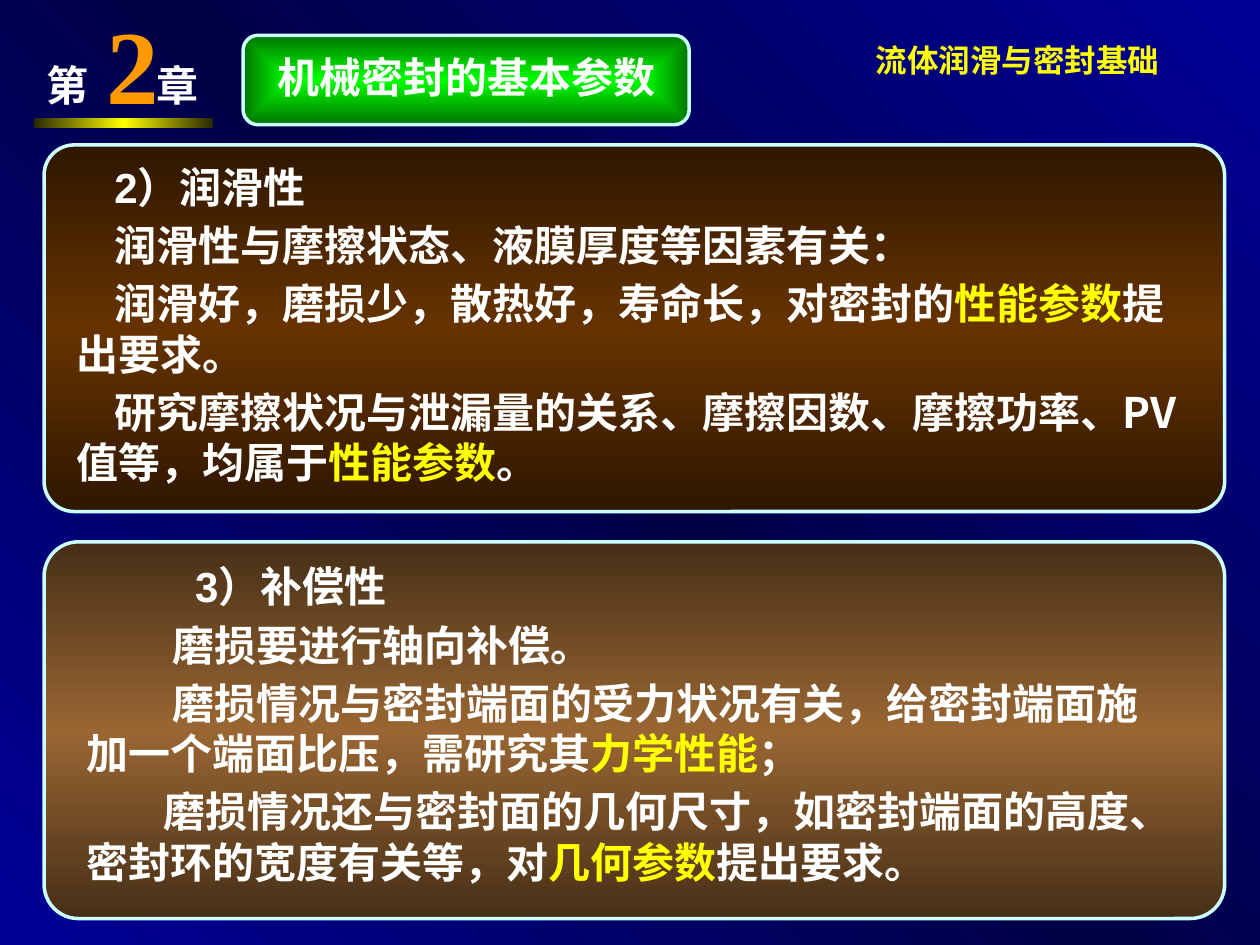
from dataclasses import dataclass

from lxml import etree
from pptx import Presentation
from pptx import util as u
from pptx.dml.color import RGBColor
from pptx.enum import shapes, text
from pptx.oxml.ns import qn

W, H = 10, 7.5
SANS, ARIAL, SERIF = "Noto Sans CJK SC", "Arial", "Times New Roman"
WHITE, YELLOW, ORANGE, EDGE = "FFFFFF", "FFFF00", "FF9900", "CCFFFF"


@dataclass(frozen=True)
class Run:
    text: str
    color: str = WHITE
    font: str = SANS


@dataclass(frozen=True)
class Para:
    runs: tuple[Run, ...]
    indent: float = 0


@dataclass(frozen=True)
class Panel:
    box: tuple[float, float, float, float]
    text_box: tuple[float, float, float, float]
    radius: float
    dark: str
    light: str
    top_inset: float
    paras: tuple[Para, ...]


def rgb(value: str) -> RGBColor:
    return RGBColor.from_string(value)


def inches(box: tuple) -> list[int]:
    return [u.Inches(v) for v in box]


def set_gradient(fill, owner, colors: list[str], angle: int | None) -> None:
    """Evenly spaced stops; no angle means from the centre to the edges."""
    fill.solid()
    old = owner.find(qn("a:solidFill"))
    grad = etree.Element(qn("a:gradFill"), rotWithShape="1")
    stops = etree.SubElement(grad, qn("a:gsLst"))
    for i, color in enumerate(colors):
        stop = etree.SubElement(stops, qn("a:gs"), pos=str(100000 * i // (len(colors) - 1)))
        etree.SubElement(stop, qn("a:srgbClr"), val=color)
    if angle is None:
        way = etree.SubElement(grad, qn("a:path"), path="rect")
        etree.SubElement(way, qn("a:fillToRect"), dict.fromkeys("ltrb", "50000"))
    else:
        etree.SubElement(grad, qn("a:lin"), ang=str(angle * 60000), scaled="0")
    owner.replace(old, grad)


def add_block(parent, box: tuple, colors: list[str], angle: int | None, radius: float = 0) -> None:
    """A gradient bar, or an outlined rounded panel when a radius is given."""
    kind = shapes.MSO_SHAPE.ROUNDED_RECTANGLE if radius else shapes.MSO_SHAPE.RECTANGLE
    sp = parent.add_shape(kind, *inches(box))
    sp.shadow.inherit = False
    set_gradient(sp.fill, sp.element.spPr, colors, angle)
    if radius:
        sp.adjustments[0] = radius
        sp.line.color.rgb = rgb(EDGE)
        sp.line.width = u.Pt(2)
    else:
        sp.line.fill.background()


def add_text(parent, box: tuple, paras: tuple[Para, ...], *, size: float = 24, wrap: bool = True,
             top: float = 0.05, center: bool = False, tab: float = 0) -> None:
    tf = parent.add_textbox(*inches(box)).text_frame
    tf.word_wrap = wrap
    tf.margin_top = u.Inches(top)
    for i, para in enumerate(paras):
        p = tf.add_paragraph() if i else tf.paragraphs[0]
        p.alignment = text.PP_ALIGN.CENTER if center else text.PP_ALIGN.LEFT
        pPr = p._p.get_or_add_pPr()
        if para.indent:
            pPr.set("indent", str(u.Inches(para.indent)))
        if i:
            p.space_before = u.Pt(4.5)
        if tab:
            tabs = etree.SubElement(pPr, qn("a:tabLst"))
            etree.SubElement(tabs, qn("a:tab"), pos=str(u.Inches(tab)), algn="l")
        for run in para.runs:
            r = p.add_run()
            r.text = run.text
            r.font.size, r.font.bold, r.font.name = u.Pt(size), True, run.font
            r.font.color.rgb = rgb(run.color)
            etree.SubElement(r._r.get_or_add_rPr(), qn("a:ea"), typeface=SANS)


def line(content: str, color: str = WHITE, font: str = SANS) -> tuple[Para, ...]:
    return (Para((Run(content, color, font),)),)


PANELS = (
    Panel((0.35, 1.15, 9.37, 2.91), (0.51, 1.23, 8.98, 2.68), 0.082, "2F1700", "663300", 0.05, (
        Para((Run("2）", font=ARIAL), Run("润滑性")), 0.3),
        Para((Run("润滑性与摩擦状态、液膜厚度等因素有关："),), 0.3),
        Para((Run("润滑好，磨损少，散热好，寿命长，对密封的"), Run("性能参数", YELLOW),
              Run("提出要求。")), 0.3),
        Para((Run("研究摩擦状况与泄漏量的关系、摩擦因数、摩擦功率、PV值等，均属于"),
              Run("性能参数", YELLOW), Run("。")), 0.3),
    )),
    Panel((0.35, 4.3, 9.37, 2.99), (0.59, 4.3, 8.74, 2.91), 0.091, "462F17", "996633", 0.15, (
        Para((Run("3）补偿性", font=ARIAL),), 0.86),
        Para((Run("磨损要进行轴向补偿。", font=ARIAL),), 0.68),
        Para((Run("磨损情况与密封端面的受力状况有关，给密封端面施加一个端面比压，需研究其", font=ARIAL),
              Run("力学性能", YELLOW), Run("；", font=ARIAL)), 0.68),
        Para((Run("磨损情况还与密封面的几何尺寸，如密封端面的高度、密封环的宽度有关等，对", font=ARIAL),
              Run("几何参数", YELLOW), Run("提出要求。", font=ARIAL)), 0.61),
    )),
)


def main() -> None:
    prs = Presentation()
    prs.slide_width, prs.slide_height = u.Inches(W), u.Inches(H)
    s = prs.slides.add_slide(prs.slide_layouts[6])
    back = s.background.fill
    back.solid()
    set_gradient(back, s.element.find(".//" + qn("p:bgPr")), ["000099", "000046", "000099"], 135)

    add_text(s.shapes, (6.85, 0.28, 2.45, 0.71), line("流体润滑与密封基础", YELLOW),
             size=18, wrap=False)

    chapter = s.shapes.add_group_shape().shapes
    add_text(chapter, (0.27, 0.42, 1.75, 0.5), line("第\t章", font=SERIF), tab=0.87)
    add_text(chapter, (0.75, 0, 0.92, 1), line("2", ORANGE, SERIF), size=60, top=0)
    add_block(chapter, (0.27, 0.94, 1.42, 0.08), ["282800", YELLOW, "282800"], 180)

    for panel in PANELS:
        add_block(s.shapes, panel.box, [panel.dark, panel.light, panel.dark], 90, panel.radius)
        add_text(s.shapes, panel.text_box, panel.paras, top=panel.top_inset)

    title = s.shapes.add_group_shape().shapes
    add_block(title, (1.93, 0.28, 3.54, 0.71), ["00FF00", "007500"], None, 0.167)
    add_text(title, (2.01, 0.36, 3.39, 0.5), line("机械密封的基本参数", font=ARIAL), center=True)

    prs.save("out.pptx")


if __name__ == "__main__":
    main()
